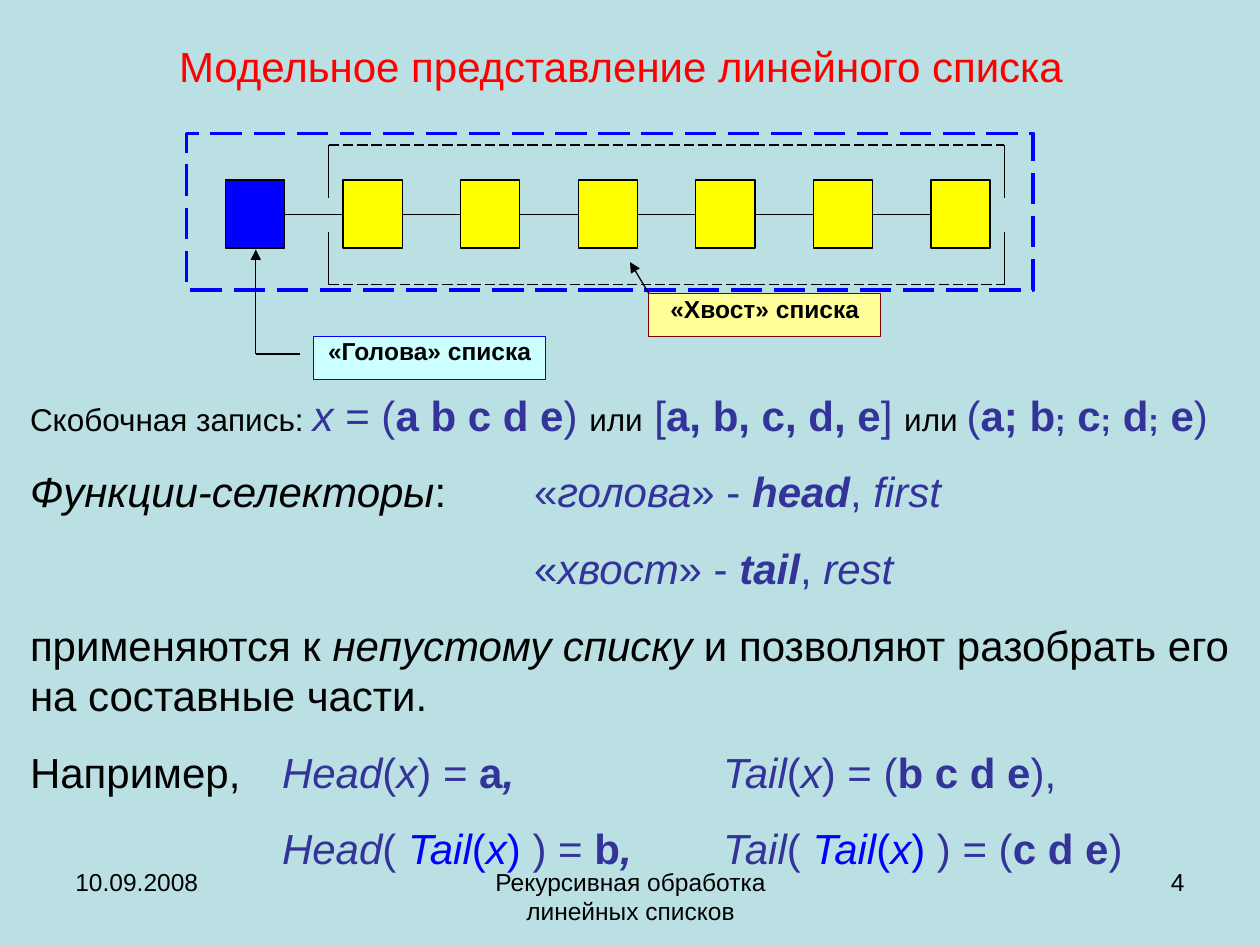
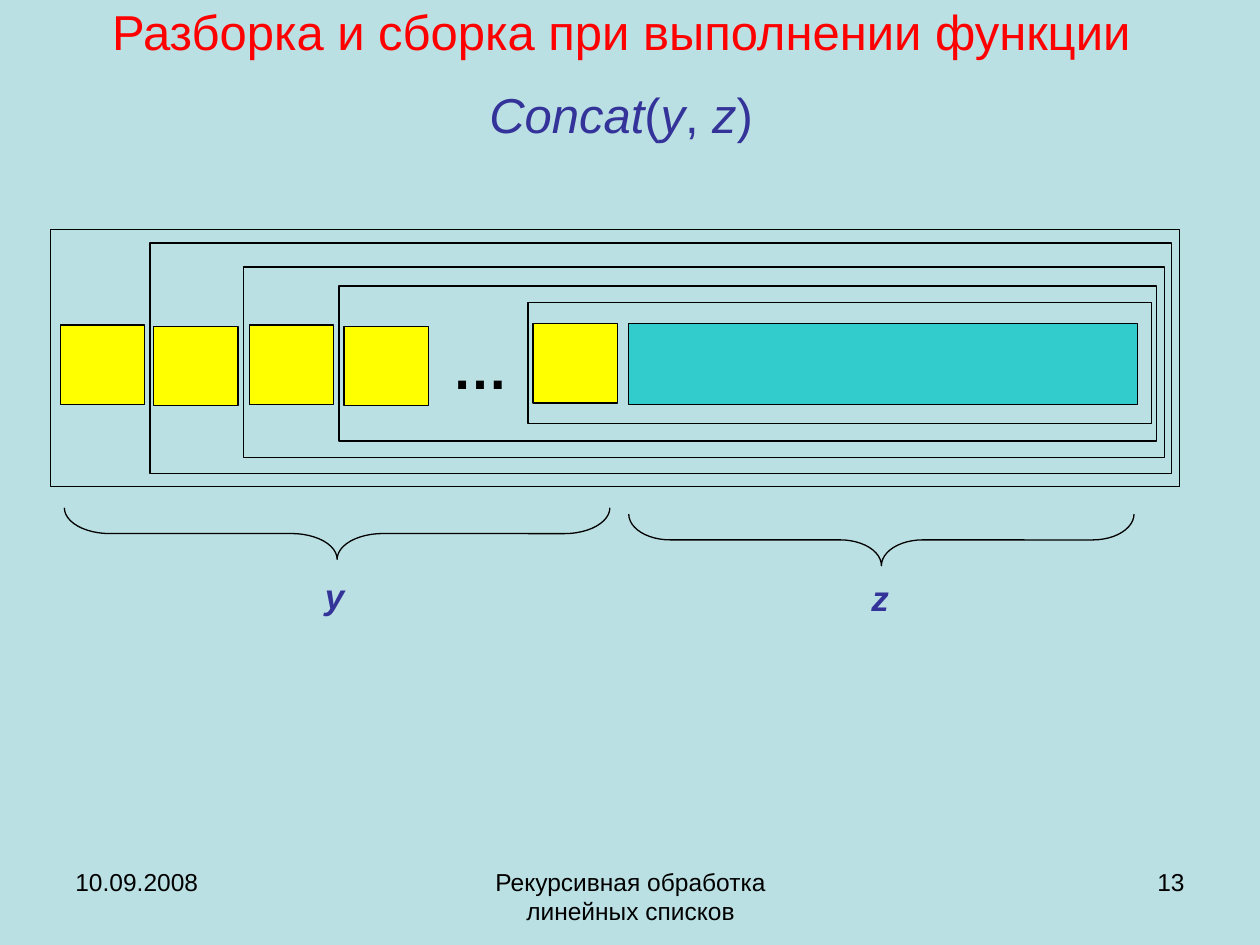
from dataclasses import dataclass
from functools import partial
from itertools import pairwise

from lxml.etree import SubElement
from pptx import Presentation
from pptx.dml.color import RGBColor
from pptx.enum.dml import MSO_LINE
from pptx.enum.shapes import MSO_CONNECTOR, MSO_SHAPE
from pptx.enum.text import MSO_ANCHOR, PP_ALIGN
from pptx.oxml.ns import qn
from pptx.util import Inches, Pt

COLORS = {
    "background": "BBE0E3",
    "title": "FF0000",
    "text": "000000",
    "formula": "333399",
    "blue": "0000FF",
    "cell": "FFFF00",
    "tail_label": "FFFF99",
    "tail_border": "800000",
    "head_label": "CCFFFF",
    "second_list": "33CCCC",
}
FONT = "Arial"
LEFT, CENTER, RIGHT = PP_ALIGN.LEFT, PP_ALIGN.CENTER, PP_ALIGN.RIGHT


@dataclass(frozen=True)
class Box:
    left: float
    top: float
    width: float
    height: float

    @property
    def right(self) -> float:
        return self.left + self.width

    @property
    def bottom(self) -> float:
        return self.top + self.height

    def lengths(self) -> list:
        return [Inches(v) for v in (self.left, self.top, self.width, self.height)]


@dataclass(frozen=True)
class Run:
    """A stretch of text; unset values come from its box."""
    text: str
    color: str | None = None
    size: float | None = None
    bold: bool | None = None
    italic: bool | None = None


@dataclass(frozen=True)
class Paragraph:
    runs: tuple
    tabs: tuple = ()


plain = partial(Run, color="text")
formula = partial(Run, color="formula")
formula_bold = partial(formula, bold=True)
formula_italic = partial(formula, italic=True)
blue = partial(Run, color="blue")


def rgb(name: str) -> RGBColor:
    return RGBColor.from_string(COLORS[name])


def write(frame, text, *, size: float = 14, color: str = "text", bold: bool = False,
          italic: bool = False, align=LEFT, space: float = 0, inset: bool = True) -> None:
    """Fill a frame with a string or a list of Paragraphs."""
    frame.word_wrap = True
    frame.vertical_anchor = MSO_ANCHOR.TOP
    frame.margin_left = frame.margin_right = Inches(0.1 if inset else 0)
    frame.margin_top = frame.margin_bottom = Inches(0.05 if inset else 0)
    content = [Paragraph((Run(text),))] if isinstance(text, str) else text
    for index, item in enumerate(content):
        line = frame.add_paragraph() if index else frame.paragraphs[0]
        if item.tabs:
            stops = SubElement(line._p.get_or_add_pPr(), qn("a:tabLst"))
            for stop in item.tabs:
                SubElement(stops, qn("a:tab"), pos=str(Inches(stop)), algn="l")
        line.alignment = align
        if index:
            line.space_before = Pt(space)
        for part in item.runs:
            run = line.add_run()
            run.text = part.text
            run.font.name = FONT
            run.font.size = Pt(part.size or size)
            run.font.bold = bold if part.bold is None else part.bold
            run.font.italic = italic if part.italic is None else part.italic
            run.font.color.rgb = rgb(part.color or color)


def add_text(slide, box: Box, text, **style) -> None:
    write(slide.shapes.add_textbox(*box.lengths()).text_frame, text, **style)


def add_shape(slide, box: Box, fill: str | None, *, line: str = "text",
              width: float = 0.75, kind=MSO_SHAPE.RECTANGLE):
    shape = slide.shapes.add_shape(kind, *box.lengths())
    shape.shadow.inherit = False
    if fill:
        shape.fill.solid()
        shape.fill.fore_color.rgb = rgb(fill)
    else:
        shape.fill.background()
    shape.line.color.rgb = rgb(line)
    shape.line.width = Pt(width)
    return shape


def add_line(slide, start: tuple, end: tuple, *, dashed: bool = False,
             arrow: bool = False) -> None:
    connector = slide.shapes.add_connector(
        MSO_CONNECTOR.STRAIGHT, *(Inches(v) for v in (*start, *end)))
    connector.line.color.rgb = rgb("text")
    connector.line.width = Pt(0.75)
    if dashed:
        connector.line.dash_style = MSO_LINE.LONG_DASH
    if arrow:
        SubElement(connector.line._get_or_add_ln(), qn("a:tailEnd"), type="triangle")
    SubElement(connector._element.spPr, qn("a:effectLst"))


def add_title(slide, top: float, height: float, text, size: float) -> None:
    add_text(slide, Box(0.43, top, 9, height), text, size=size, color="title",
             align=CENTER, space=14, inset=False)


def add_footer(slide, number: str) -> None:
    for left, width, text, align in (
            (0.5, 2.33, "10.09.2008", LEFT),
            (3.42, 3.17, "Рекурсивная обработка линейных списков", CENTER),
            (7.17, 2.33, number, RIGHT)):
        add_text(slide, Box(left, 6.83, width, 0.52), text, align=align)


def add_brace(slide, span: Box, bend: float) -> None:
    """Draw a brace below the span, pointing down."""
    upright = Box(span.left + (span.width - span.height) / 2,
                  span.top + (span.height - span.width) / 2, span.height, span.width)
    brace = add_shape(slide, upright, None, kind=MSO_SHAPE.RIGHT_BRACE)
    brace.rotation = 90
    brace.adjustments[0] = bend


def draw_list_model(slide) -> None:
    add_shape(slide, Box(1.48, 1.06, 6.72, 1.24), "background", line="blue",
              width=2.25).line.dash_style = MSO_LINE.LONG_DASH
    cells = [Box(1.79 + 0.933 * i, 1.43, 0.47, 0.54) for i in range(7)]
    for index, cell in enumerate(cells):
        add_shape(slide, cell, "cell" if index else "blue")
    for cell, following in pairwise(cells):
        add_line(slide, (cell.right, 1.7), (following.left, 1.7))

    tail = Box(2.61, 1.15, 5.36, 1.11)
    for y, inward in ((tail.top, 0.42), (tail.bottom, -0.42)):
        add_line(slide, (tail.left, y), (tail.right, y), dashed=True)
        for x in (tail.left, tail.right):
            add_line(slide, (x, y), (x, y + inward))

    for left, top, text, fill, border in (
            (5.15, 2.33, "«Хвост» списка", "tail_label", "tail_border"),
            (2.49, 2.67, "«Голова» списка", "head_label", "blue")):
        label = add_shape(slide, Box(left, top, 1.84, 0.34), fill, line=border)
        write(label.text_frame, text, bold=True, align=CENTER, inset=False)
    add_line(slide, (2.03, 2.81), (2.38, 2.81))
    add_line(slide, (2.03, 2.81), (2.03, 1.98), arrow=True)
    add_line(slide, (5.15, 2.33), (5, 2.08), arrow=True)


def call(name: str, shade=formula) -> tuple:
    return (shade(name, italic=True), shade("("), shade("x", italic=True))


def nested_call(name: str) -> tuple:
    return (formula_italic(name), formula("( "), *call("Tail", blue), blue(") "))


def build_model_slide(slide) -> None:
    add_title(slide, 0.32, 0.4, "Модельное представление линейного списка", 24)
    draw_list_model(slide)
    separator = formula_bold(";", size=18)
    selector_tabs, example_tabs = (4,), (2, 5.5)
    add_text(slide, Box(0.14, 3.04, 9.86, 3.94), [
        Paragraph((plain("Скобочная запись: ", size=18), formula_italic("x"),
                   formula(" = ("), formula_bold("a b c d e"), formula(") "),
                   plain("или", size=18), formula(" ["), formula_bold("a, b, c, d, e"),
                   formula("] "), plain("или ", size=18), formula("("),
                   formula_bold("a; b"), separator, formula_bold(" c"), separator,
                   formula_bold(" d"), separator, formula_bold(" e"), formula(")"))),
        Paragraph((plain("Функции-селекторы", italic=True), plain(":\t"), formula("«"),
                   formula_italic("голова"), formula("» - "),
                   formula_bold("head", italic=True), formula(", "),
                   formula_italic("first")), selector_tabs),
        Paragraph((formula("\t«"), formula_italic("хвост"), formula("» - "),
                   formula_bold("tail", italic=True), formula(", "),
                   formula_italic("rest")), selector_tabs),
        Paragraph((plain("применяются к "), plain("непустому списку", italic=True),
                   plain(" и позволяют разобрать его на составные части."))),
        Paragraph((plain("Например,\t"), *call("Head"), formula(") = "),
                   formula_bold("a"), formula_bold(",\t", italic=True), *call("Tail"),
                   formula(") = ("), formula_bold("b c d e"), formula("),")),
                  example_tabs),
        Paragraph((formula("\t"), *nested_call("Head"), formula(") = "),
                   formula_bold("b"), formula_bold(",\t", italic=True),
                   *nested_call("Tail"), formula(") = ("), formula_bold("c d e"),
                   formula(")")), example_tabs),
    ], size=24, space=15)
    add_footer(slide, "4")


def build_concat_slide(slide) -> None:
    add_title(slide, 0.01, 1.1, [
        Paragraph((Run("Разборка и сборка при выполнении функции"),)),
        Paragraph((formula_italic("Concat"), formula("("), formula_italic("y"),
                   formula(",\u00a0".replace("\u00a0", " ")), formula_italic("z"),
                   formula(")"))),
    ], 28)
    for nested_list in (Box(0.4, 1.82, 8.96, 2.04), Box(1.19, 1.93, 8.11, 1.83),
                        Box(1.93, 2.12, 7.31, 1.51), Box(2.69, 2.27, 6.49, 1.23),
                        Box(4.19, 2.4, 4.95, 0.96)):
        add_shape(slide, nested_list, "background")
    for left, top in ((0.48, 2.58), (1.22, 2.59), (1.98, 2.58), (2.73, 2.59), (4.23, 2.57)):
        add_shape(slide, Box(left, top, 0.67, 0.63), "cell")
    add_text(slide, Box(3.49, 2.65, 0.65, 0.55), "…", size=32, bold=True,
             align=CENTER, inset=False)
    add_shape(slide, Box(4.99, 2.57, 4.04, 0.64), "second_list")

    for name, span, bend, label in (
            ("y", Box(0.51, 4.03, 4.33, 0.41), 0.88, Box(2.44, 4.51, 0.43, 0.44)),
            ("z", Box(4.99, 4.08, 4.01, 0.41), 0.8, Box(6.77, 4.53, 0.43, 0.44))):
        add_brace(slide, span, bend)
        add_text(slide, label, name, size=20, color="formula", bold=True,
                 italic=True, align=CENTER)
    add_footer(slide, "13")


def main() -> None:
    deck = Presentation()
    deck.slide_width, deck.slide_height = Inches(10), Inches(7.5)
    backdrop = deck.slide_master.background.fill
    backdrop.solid()
    backdrop.fore_color.rgb = rgb("background")
    blank = deck.slide_layouts[6]
    for build in (build_model_slide, build_concat_slide):
        build(deck.slides.add_slide(blank))
    deck.save("out.pptx")


if __name__ == "__main__":
    main()
